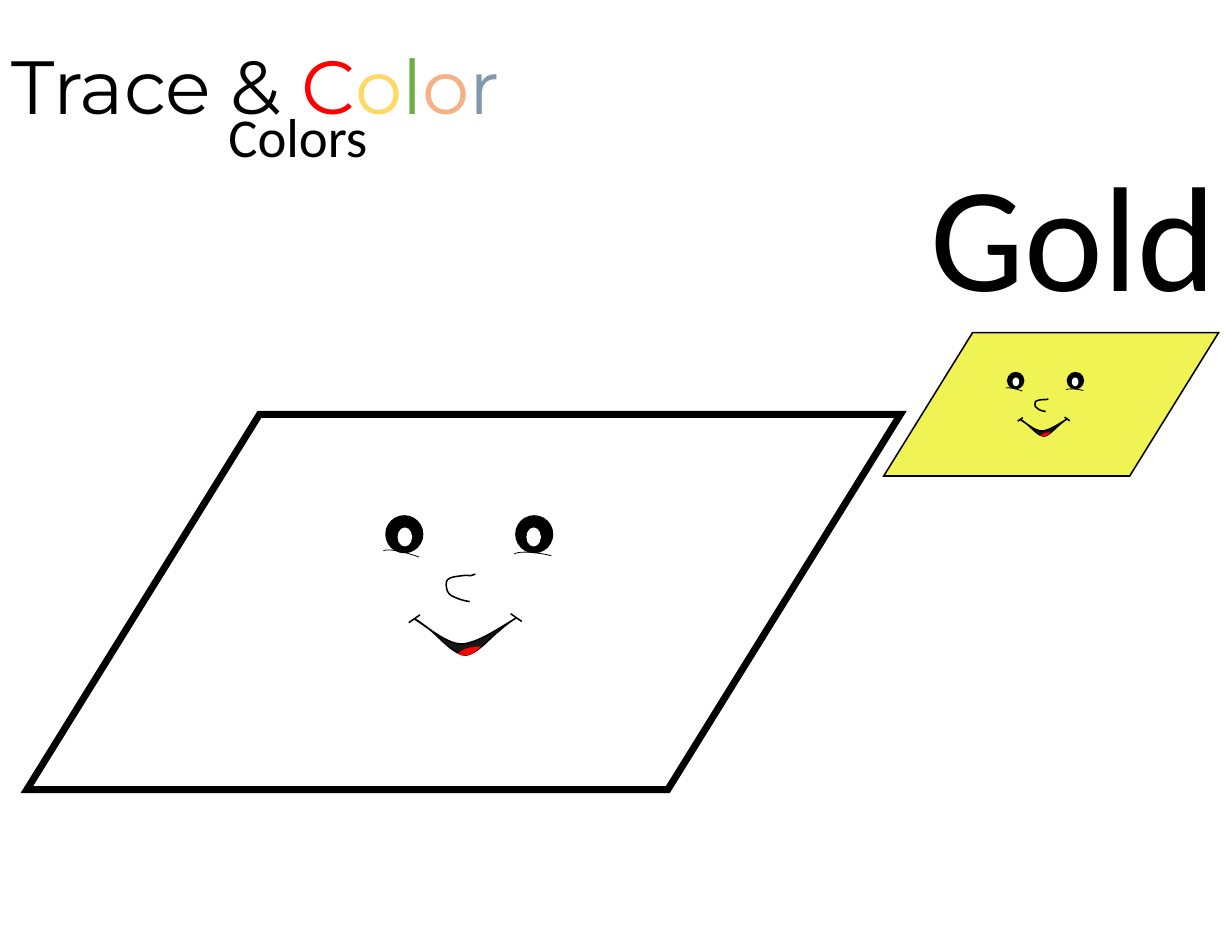
"""Build the Trace & Color worksheet for the colour gold."""
from dataclasses import dataclass
from typing import Optional

import lxml.etree
import pptx
import pptx.dml.color
import pptx.enum.shapes
import pptx.enum.text
import pptx.oxml.ns
import pptx.util

COLUMNS, ROWS = 1100, 850
CELL = pptx.util.Inches(11) / COLUMNS
SHAPE = pptx.enum.shapes.MSO_SHAPE
ALIGN = pptx.enum.text.PP_ALIGN

COLORS = {
    "black": "000000", "white": "FFFFFF", "red": "FF0000", "yellow": "FFD966",
    "green": "70AD47", "orange": "F4B183", "blue": "8497B0",
    "gold": "EFF353", "mouth": "181717",
}


@dataclass(frozen=True)
class Label:
    box: tuple
    runs: tuple
    size: float
    font: str = "Calibri"
    align: ALIGN = ALIGN.LEFT


@dataclass(frozen=True)
class Card:
    box: tuple
    fill: str
    outline: float
    face_at: tuple
    face_scale: float


@dataclass(frozen=True)
class Preset:
    kind: SHAPE
    box: tuple
    fill: Optional[str] = None
    outline: float = 0
    adjustments: tuple = ()
    rotation: float = 0


@dataclass(frozen=True)
class Outline:
    start: tuple
    steps: tuple
    fill: Optional[str] = None
    outline: float = 0
    rotation: float = 0


LABELS = (
    Label((0, 30, 551, 92),
          (("Trace & ", "black"), ("C", "red"), ("o", "yellow"),
           ("l", "green"), ("o", "orange"), ("r", "blue")), 48.4, "Montserrat"),
    Label((821, 122, 279, 172), (("Gold", "black"),), 96),
    Label((10, 87, 512, 69), (("Colors", "black"),), 35.2, align=ALIGN.CENTER),
)

CARDS = (
    Card((789, 297, 299, 128), "gold", 1, (899, 332), 0.46),
    Card((24, 370, 780, 335), "white", 4.5, (344, 460), 1),
)

MOUTH = Outline((27, 93), (
    (32, 95, 53, 115, 68, 115), (82, 115, 106, 98, 115, 93),
    (122, 88, 107, 98, 102, 103), (95, 108, 82, 124, 72, 125),
    (62, 125, 49, 110, 42, 104), (35, 98, 23, 91, 27, 93)), "mouth", 1)
TONGUE = Outline((79, 118), (
    (81, 117, 83, 118, 85, 118), (86, 118), (82, 121),
    (79, 123, 76, 125, 73, 125), (72, 125, 71, 125, 69, 125),
    (65, 123), (66, 122), (69, 120, 73, 118, 79, 118)), "red", rotation=356.2)
NOSE = Outline((79, 51), (
    (77, 52, 77, 52, 75, 53), (73, 53, 71, 53, 67, 54),
    (64, 55, 57, 56, 55, 59), (53, 61, 55, 67, 56, 69),
    (58, 72, 60, 73, 64, 74), (67, 75, 72, 76, 77, 76)), outline=1, rotation=7)

FACE = (
    Outline((31, 89), ((21, 96),), outline=1),
    MOUTH,
    TONGUE,
    Outline((112, 88), ((122, 95),), outline=1),
    Preset(SHAPE.OVAL, (116, 0, 34, 34), "black"),
    NOSE,
    Preset(SHAPE.OVAL, (0, 0, 34, 34), "black"),
    Preset(SHAPE.OVAL, (126, 11, 13, 17), "white"),
    Preset(SHAPE.OVAL, (11, 11, 13, 17), "white"),
    Preset(SHAPE.ARC, (113, 36, 67, 16), None, 0.5, (110.01, 162), 13.3),
    Preset(SHAPE.ARC, (-6, 37, 67, 16), None, 0.5, (110.46, 162), 20.6),
)


def rgb(name: str) -> pptx.dml.color.RGBColor:
    return pptx.dml.color.RGBColor.from_string(COLORS[name])


def cells(values: tuple) -> list[int]:
    return [round(value * CELL) for value in values]


def paint(shape, fill: Optional[str], outline: float, rotation: float) -> None:
    shape.shadow.inherit = False
    if fill:
        shape.fill.solid()
        shape.fill.fore_color.rgb = rgb(fill)
    else:
        shape.fill.background()
    if outline:
        shape.line.color.rgb = rgb("black")
        shape.line.width = pptx.util.Pt(outline)
        stroke = next(shape.element.iter(pptx.oxml.ns.qn("a:ln")))
        lxml.etree.SubElement(stroke, pptx.oxml.ns.qn("a:miter"), lim="800000")
    else:
        shape.line.fill.background()
    shape.rotation = rotation


def draw_preset(shapes, part: Preset, origin: tuple = (0, 0), scale: float = 1) -> None:
    left, top, width, height = (value * scale for value in part.box)
    drawn = shapes.add_shape(
        part.kind, *cells((origin[0] + left, origin[1] + top, width, height)))
    for index, value in enumerate(part.adjustments):
        drawn.adjustments[index] = value
    paint(drawn, part.fill, part.outline, part.rotation)


def bend(segment, controls: list, left: int, top: int) -> None:
    segment.tag = pptx.oxml.ns.qn("a:cubicBezTo")
    for index, (x, y) in enumerate(controls):
        point = lxml.etree.Element(
            pptx.oxml.ns.qn("a:pt"), x=str(x - left), y=str(y - top))
        segment.insert(index, point)


def draw_outline(shapes, part: Outline, origin: tuple, scale: float) -> None:
    def place(x: float, y: float) -> list[int]:
        return cells((origin[0] + x * scale, origin[1] + y * scale))

    builder = shapes.build_freeform(*place(*part.start))
    builder.add_line_segments(
        [place(*step[-2:]) for step in part.steps], close=part.fill is not None)
    drawn = builder.convert_to_shape()
    segments = list(drawn.element.iter(pptx.oxml.ns.qn("a:lnTo")))
    for segment, step in zip(segments, part.steps):
        if len(step) == 6:
            bend(segment, [place(*step[:2]), place(*step[2:4])], drawn.left, drawn.top)
    paint(drawn, part.fill, part.outline, part.rotation)


def draw_face(slide, card: Card) -> None:
    face = slide.shapes.add_group_shape()
    for part in FACE:
        draw = draw_outline if isinstance(part, Outline) else draw_preset
        draw(face.shapes, part, card.face_at, card.face_scale)


def draw_label(slide, label: Label) -> None:
    frame = slide.shapes.add_textbox(*cells(label.box)).text_frame
    frame.word_wrap = True
    frame.auto_size = pptx.enum.text.MSO_AUTO_SIZE.SHAPE_TO_FIT_TEXT
    paragraph = frame.paragraphs[0]
    paragraph.alignment = label.align
    paragraph.font.name = label.font
    paragraph.font.size = pptx.util.Pt(label.size)
    for text, color in label.runs:
        run = paragraph.add_run()
        run.text = text
        run.font.color.rgb = rgb(color)


def main() -> None:
    deck = pptx.Presentation()
    deck.slide_width, deck.slide_height = cells((COLUMNS, ROWS))
    slide = deck.slides.add_slide(deck.slide_layouts[6])
    for label in LABELS:
        draw_label(slide, label)
    for card in CARDS:
        draw_preset(slide.shapes, Preset(
            SHAPE.PARALLELOGRAM, card.box, card.fill, card.outline, (0.62,)))
    for card in CARDS:
        draw_face(slide, card)
    deck.save("out.pptx")


if __name__ == "__main__":
    main()
